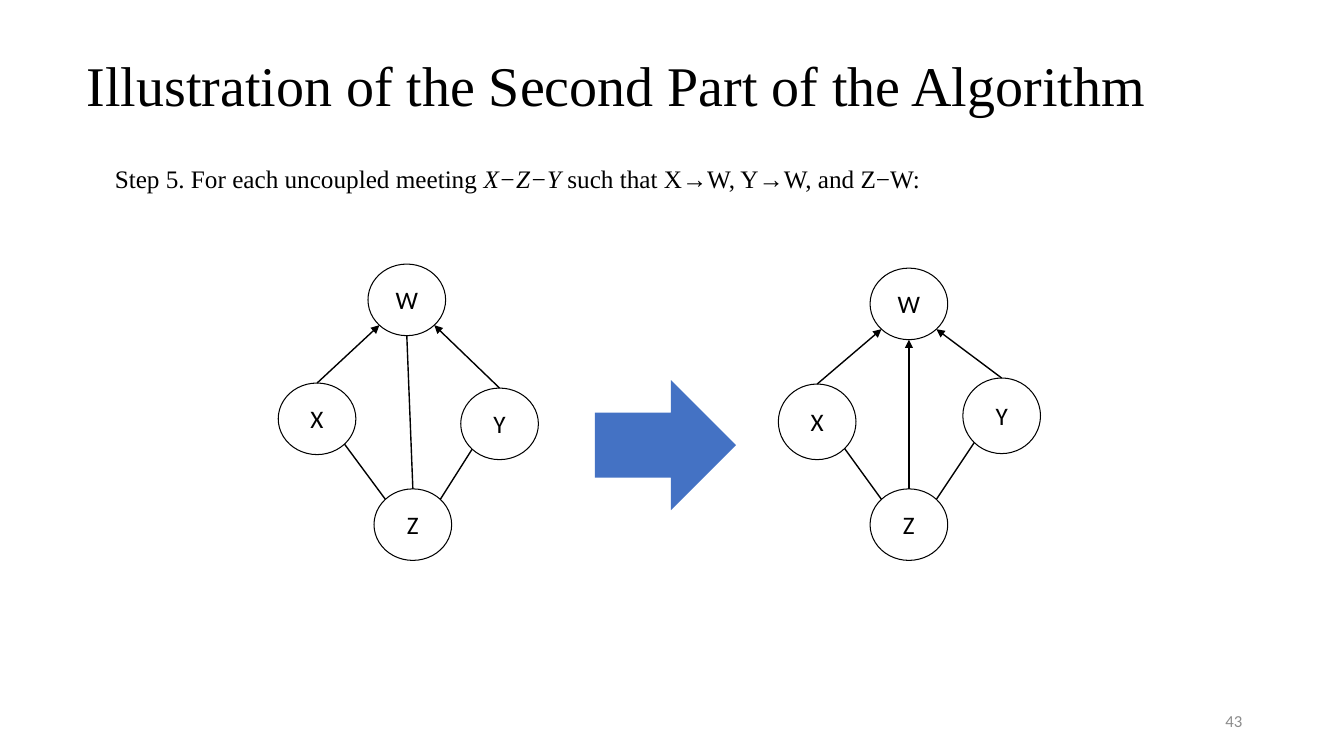
import math

import pptx
import pptx.dml.color
import pptx.enum.shapes
import pptx.enum.text
import pptx.oxml
import pptx.oxml.ns
import pptx.util

Inches, Pt = pptx.util.Inches, pptx.util.Pt
Color = pptx.dml.color.RGBColor.from_string
Align, Anchor = pptx.enum.text.PP_ALIGN, pptx.enum.text.MSO_ANCHOR
Shape = pptx.enum.shapes.MSO_SHAPE

THEME = {
    "ink": Color("000000"), "paper": Color("FFFFFF"),
    "accent": Color("4472C4"), "muted": Color("8C8C8C"),
    "serif": "Times New Roman", "sans": "Calibri",
    "title": Pt(40), "body": Pt(18), "small": Pt(12),
    "outline": Pt(0.75), "edge": Pt(1),
}


def write(box, pieces, size, font, color, align, anchor):
    """Fill a box with one paragraph of (text, italic) pieces."""
    box.text_frame.vertical_anchor = anchor
    para = box.text_frame.paragraphs[0]
    para.alignment = align
    for text, italic in pieces:
        span = para.add_run()
        span.text = text
        span.font.color.rgb = THEME[color]
        look = {"size": THEME[size], "name": THEME[font], "italic": italic}
        for name, value in look.items():
            setattr(span.font, name, value)
    return para


def rim(node, degrees):
    """Point on a node's outline, clockwise from the right."""
    turn = math.radians(degrees)
    return (int(node.left + node.width / 2 * (1 + math.cos(turn))),
            int(node.top + node.height / 2 * (1 + math.sin(turn))))


# Deck and page
deck = pptx.Presentation()
deck.slide_width, deck.slide_height = Inches(13.33), Inches(7.5)
page = deck.slides.add_slide(deck.slide_layouts[5])

# Title
title = page.shapes.title
place = {"left": 0.76, "top": 0.15, "width": 11.5, "height": 1.45}
for name, value in place.items():
    setattr(title, name, Inches(value))
heading = write(title, [("Illustration of the Second Part of the Algorithm", False)],
                "title", "serif", "ink", Align.LEFT, Anchor.MIDDLE)
heading.line_spacing = 0.9

# Step description
step = page.shapes.add_textbox(Inches(1.04), Inches(1.57), Inches(8.44), Inches(0.4))
step.text_frame.word_wrap = False
write(step, [("Step 5. For each uncoupled meeting ", False), ("X−Z−Y", True),
             (" such that X→W, Y→W, and Z−W:", False)],
      "body", "serif", "ink", Align.LEFT, Anchor.TOP)

# Page number
number = page.shapes.add_textbox(Inches(9.42), Inches(6.95), Inches(3), Inches(0.4))
number.text_frame.word_wrap = True
write(number, [("43", False)], "small", "sans", "muted", Align.RIGHT, Anchor.MIDDLE)

# Block arrow from the graph before to the graph after
block = page.shapes.add_shape(Shape.RIGHT_ARROW, Inches(5.9), Inches(3.77),
                              Inches(1.4), Inches(1.29))
block.shadow.inherit = False
block.fill.solid()
block.fill.fore_color.rgb = THEME["accent"]
block.line.fill.background()

# Graphs: node -> left, top, height; the last value says if Z points to W
NODE_WIDTH = 0.77
graphs = [
    ({"W": (3.65, 2.62, 0.71), "X": (2.76, 3.8, 0.71),
      "Y": (4.57, 3.85, 0.71), "Z": (3.71, 4.85, 0.71)}, False),
    ({"W": (8.63, 2.66, 0.71), "X": (7.72, 3.81, 0.75),
      "Y": (9.55, 3.75, 0.75), "Z": (8.63, 4.85, 0.71)}, True),
]
for places, directed in graphs:
    nodes = {}
    for label, (left, top, height) in places.items():
        node = page.shapes.add_shape(Shape.OVAL, Inches(left), Inches(top),
                                     Inches(NODE_WIDTH), Inches(height))
        node.shadow.inherit = False
        node.fill.solid()
        node.fill.fore_color.rgb = THEME["paper"]
        node.line.color.rgb = THEME["ink"]
        node.line.width = THEME["outline"]
        write(node, [(label, False)], "body", "sans", "ink", Align.CENTER, Anchor.MIDDLE)
        nodes[label] = node

    # Edges: start node, angle, end node, angle, arrowhead at the end
    edges = [("X", 270, "W", 135, True), ("Y", 270, "W", 45, True),
             ("X", 45, "Z", 225, False), ("Y", 135, "Z", 315, False),
             ("Z", 270, "W", 90, directed)]
    for start, leave, end, arrive, arrow in edges:
        edge = page.shapes.add_connector(
            pptx.enum.shapes.MSO_CONNECTOR.STRAIGHT,
            *rim(nodes[start], leave), *rim(nodes[end], arrive))
        edge.line.color.rgb = THEME["ink"]
        edge.line.width = THEME["edge"]
        if arrow:
            head = pptx.oxml.parse_xml(
                f'<a:tailEnd {pptx.oxml.ns.nsdecls("a")} type="triangle"/>')
            edge.line._get_or_add_ln().append(head)
        edge._element.spPr.append(pptx.oxml.parse_xml(
            f'<a:effectLst {pptx.oxml.ns.nsdecls("a")}/>'))

deck.save("out.pptx")
